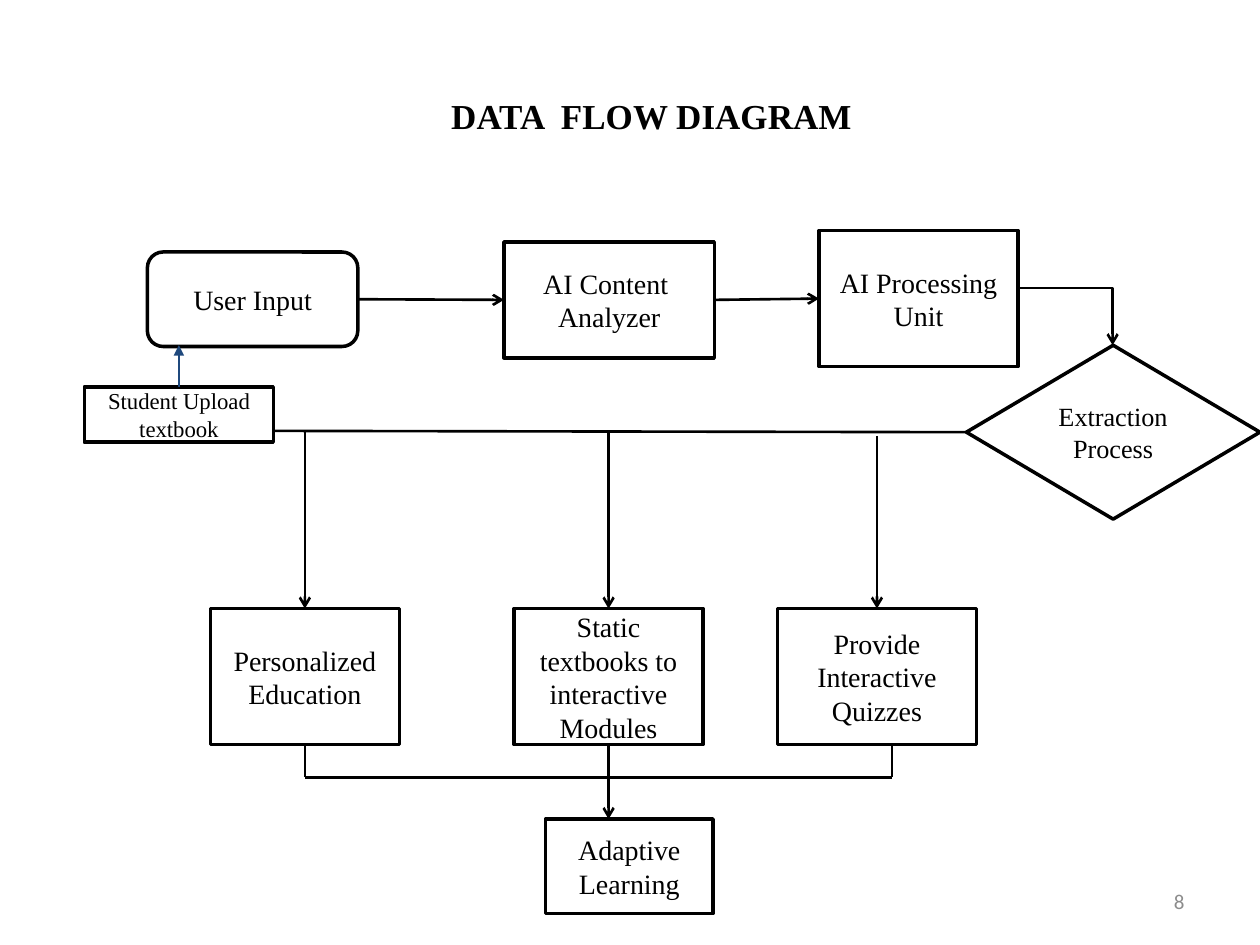
"""Build the data flow diagram slide."""
import pptx
import pptx.dml.color
import pptx.enum.shapes
import pptx.enum.text
import pptx.oxml.ns
import pptx.util
from lxml import etree

Inches, Pt = pptx.util.Inches, pptx.util.Pt
Shape = pptx.enum.shapes.MSO_SHAPE
Connector = pptx.enum.shapes.MSO_CONNECTOR
Align = pptx.enum.text.PP_ALIGN
TOP, LEFT, BOTTOM, RIGHT = range(4)

THEME = {
    "ink": "000000", "paper": "FFFFFF", "accent": "1F497D", "muted": "8C8C8C",
    "font": "Times New Roman", "number_font": "Calibri",
    "title": 20, "body": 16, "decision": 15, "small": 13, "number": 12,
    "outline": 2, "flow": 1.5, "thin": 1,
}

TITLE = ("DATA  FLOW DIAGRAM", (0.67, 0.5, 9, 0.83))
PAGE_NUMBER = ("8", (7.17, 6.95, 2.33, 0.4))

NODES = {
    "input": ("User Input", Shape.ROUNDED_RECTANGLE, (1.17, 2, 1.67, 0.75), "body"),
    "analyzer": ("AI Content  Analyzer", Shape.RECTANGLE, (4, 1.92, 1.67, 0.92), "body"),
    "upload": ("Student Upload textbook", Shape.RECTANGLE, (0.67, 3.07, 1.5, 0.44), "small"),
    "processing": ("AI Processing Unit", Shape.RECTANGLE, (6.5, 1.83, 1.58, 1.08), "body"),
    "modules": ("Static textbooks to interactive Modules", Shape.RECTANGLE,
                (4.08, 4.83, 1.5, 1.08), "body"),
    "extraction": ("Extraction Process", Shape.DIAMOND, (7.67, 2.74, 2.33, 1.38), "decision"),
    "quizzes": ("Provide Interactive\nQuizzes", Shape.RECTANGLE,
                (6.17, 4.83, 1.58, 1.08), "body"),
    "education": ("Personalized Education", Shape.RECTANGLE, (1.67, 4.83, 1.5, 1.08), "body"),
    "adaptive": ("Adaptive Learning", Shape.RECTANGLE, (4.33, 6.5, 1.33, 0.75), "body"),
}

BUS_Y, MERGE_Y = 3.42, 6.17
EDUCATION_X, MODULES_X, QUIZZES_X = 2.42, 4.83, 7.08

# Each end is a point or a (node, side) pair.
FLOWS = [
    (("input", RIGHT), ("analyzer", LEFT), "flow", "ink", "arrow"),
    (("analyzer", RIGHT), ("processing", LEFT), "flow", "ink", "arrow"),
    ((2.17, BUS_Y), ("extraction", LEFT), "flow", "ink", None),
    ((EDUCATION_X, BUS_Y), ("education", TOP), "flow", "ink", "arrow"),
    ((MODULES_X, BUS_Y), ("modules", TOP), "flow", "ink", "arrow"),
    ((6.96, 3.46), ("quizzes", TOP), "flow", "ink", "arrow"),
    (("education", BOTTOM), (EDUCATION_X, MERGE_Y), "thin", "ink", None),
    (("modules", BOTTOM), (MODULES_X, MERGE_Y), "flow", "ink", None),
    ((QUIZZES_X, 5.92), (QUIZZES_X, MERGE_Y), "flow", "ink", None),
    ((EDUCATION_X, MERGE_Y), (QUIZZES_X, MERGE_Y), "flow", "ink", None),
    ((MODULES_X, MERGE_Y), (MODULES_X, 6.5), "flow", "ink", "arrow"),
    (("upload", TOP), (1.42, 2.74), "flow", "accent", "triangle"),
]
ELBOW = ((8.91, 1.91), (8, 2.66))
ELBOW_ROTATION = 270


def color(name):
    return pptx.dml.color.RGBColor.from_string(THEME[name])


def write(shape, text, size, align=Align.CENTER, font="font", ink="ink", bold=False):
    frame = shape.text_frame
    frame.word_wrap = True
    frame.vertical_anchor = pptx.enum.text.MSO_ANCHOR.MIDDLE
    frame.text = text
    for para in frame.paragraphs:
        para.alignment = align
        for span in para.runs:
            span.font.name = THEME[font]
            span.font.size = Pt(THEME[size])
            span.font.bold = bold
            span.font.color.rgb = color(ink)


def add_label(page, text, place, size, **style):
    box = page.shapes.add_textbox(*map(Inches, place))
    write(box, text, size, **style)


def add_node(page, text, kind, place, size):
    node = page.shapes.add_shape(kind, *map(Inches, place))
    node.shadow.inherit = False
    node.fill.solid()
    node.fill.fore_color.rgb = color("paper")
    node.line.color.rgb = color("ink")
    node.line.width = Pt(THEME["outline"])
    write(node, text, size)
    return node


def add_line(page, kind, start, end, width, ink, head):
    line = page.shapes.add_connector(kind, *map(Inches, start + end))
    line.line.color.rgb = color(ink)
    line.line.width = Pt(THEME[width])
    qn = pptx.oxml.ns.qn
    properties = line.element.spPr
    if head:
        etree.SubElement(properties.find(qn("a:ln")), qn("a:tailEnd"), type=head)
    etree.SubElement(properties, qn("a:effectLst"))
    return line


def add_flow(page, nodes, start, end, width, ink, head):
    points = [(0, 0) if joint[0] in nodes else joint for joint in (start, end)]
    line = add_line(page, Connector.STRAIGHT, *points, width, ink, head)
    for joint, connect in ((start, line.begin_connect), (end, line.end_connect)):
        if joint[0] in nodes:
            connect(nodes[joint[0]], joint[1])


def main():
    deck = pptx.Presentation()
    deck.slide_width, deck.slide_height = Inches(10), Inches(7.5)
    page = deck.slides.add_slide(deck.slide_layouts[6])
    add_label(page, *TITLE, "title", bold=True)
    nodes = {name: add_node(page, *node) for name, node in NODES.items()}
    add_label(page, *PAGE_NUMBER, "number", align=Align.RIGHT,
              font="number_font", ink="muted")
    for flow in FLOWS:
        add_flow(page, nodes, *flow)
    elbow = add_line(page, Connector.ELBOW, *ELBOW, "flow", "ink", "arrow")
    elbow.element.spPr.xfrm.set("rot", str(ELBOW_ROTATION * 60000))
    deck.save("out.pptx")


if __name__ == "__main__":
    main()
